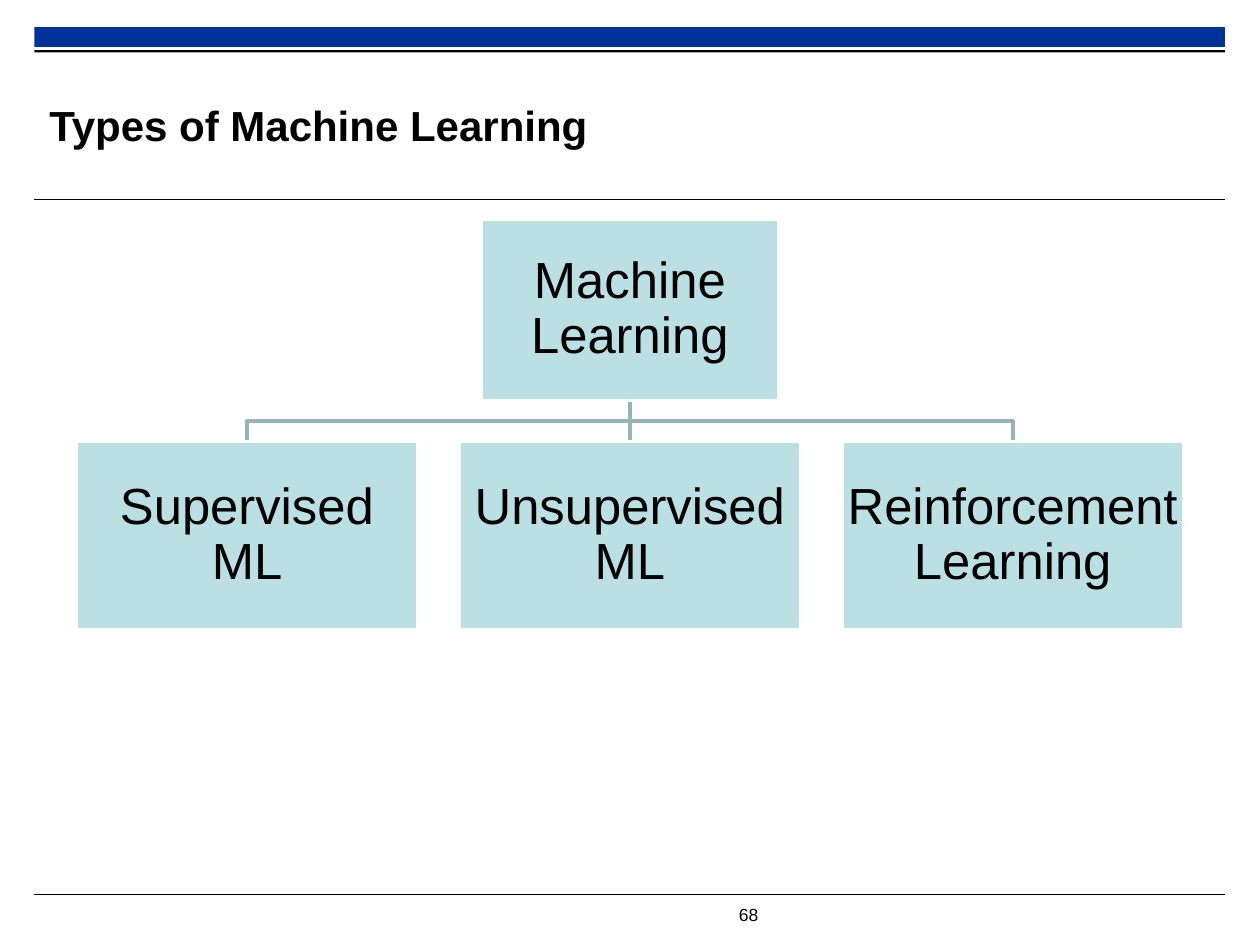
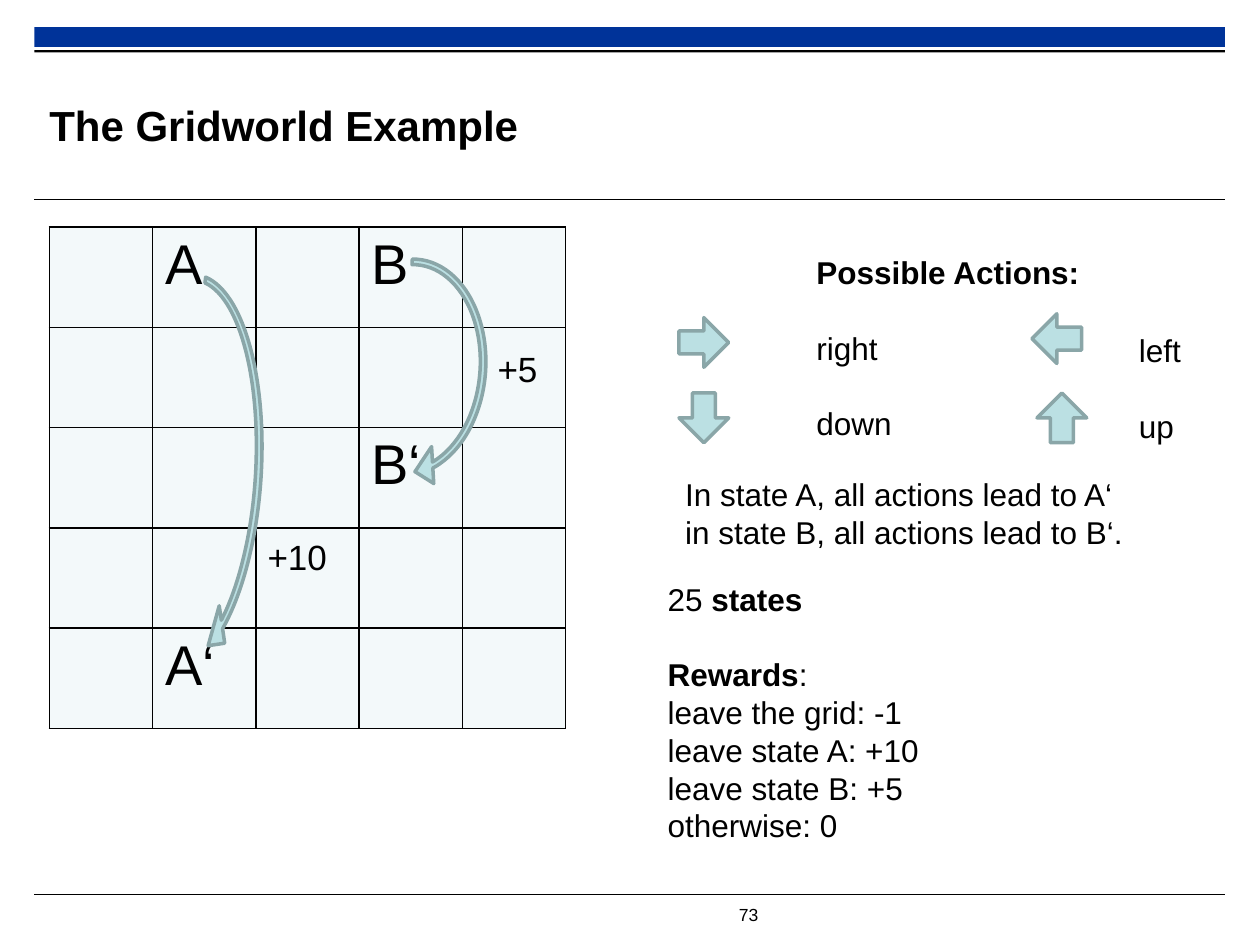
"""Build two lecture slides: types of machine learning and the gridworld example."""
import pptx
import pptx.dml.color
import pptx.enum.shapes
import pptx.enum.text
import pptx.oxml
import pptx.oxml.ns
import pptx.util
from lxml import etree

Pt = pptx.util.Pt
RGBColor = pptx.dml.color.RGBColor
SHAPE = pptx.enum.shapes.MSO_SHAPE
STRAIGHT = pptx.enum.shapes.MSO_CONNECTOR.STRAIGHT
ANCHOR = pptx.enum.text.MSO_ANCHOR
ALIGN = pptx.enum.text.PP_ALIGN

FONT = "Arial"
BLACK = RGBColor(0x00, 0x00, 0x00)
WHITE = RGBColor(0xFF, 0xFF, 0xFF)
BLUE = RGBColor(0x00, 0x33, 0x99)
TEAL = RGBColor(0xBB, 0xE0, 0xE3)
TEAL_BRANCH = RGBColor(0x96, 0xB3, 0xB6)
TEAL_EDGE = RGBColor(0x8A, 0xA6, 0xA8)
CELL_FILL = RGBColor(0xF3, 0xF9, 0xFA)

BAND_LEFT, BAND_WIDTH = 19.6, 680.4
BODY_SIZE = 18
LINE_GAP = 21.6


def style_paragraph(para, size, bold=False):
    """Set the shared font on a whole paragraph."""
    para.font.name = FONT
    para.font.size = Pt(size)
    para.font.bold = bold
    para.font.color.rgb = BLACK


def add_box(page, shape_type, left, top, width, height, fill, edge=None, line_width=2):
    """Add a filled preset shape without a shadow."""
    box = page.shapes.add_shape(shape_type, Pt(left), Pt(top), Pt(width), Pt(height))
    box.shadow.inherit = False
    box.fill.solid()
    box.fill.fore_color.rgb = fill
    if edge is None:
        box.line.fill.background()
    else:
        box.line.color.rgb = edge
        box.line.width = Pt(line_width)
    return box


def add_line(page, start, end, color, width):
    """Add a straight line without a shadow."""
    line = page.shapes.add_connector(STRAIGHT, *(Pt(value) for value in start + end))
    line.line.color.rgb = color
    line.line.width = Pt(width)
    etree.SubElement(line._element.spPr, pptx.oxml.ns.qn("a:effectLst"))


def add_text(page, left, top, width, height, lines, size=BODY_SIZE, wrap=True):
    """Add a text box; each line is (gap before, (text, bold), ...)."""
    box = page.shapes.add_textbox(Pt(left), Pt(top), Pt(width), Pt(height))
    frame = box.text_frame
    frame.word_wrap = wrap
    for index, (gap, *spans) in enumerate(lines):
        para = frame.paragraphs[0] if index == 0 else frame.add_paragraph()
        if gap:
            para.space_before = Pt(gap)
        bolds = [bold for text, bold in spans]
        style_paragraph(para, size, bolds[0])
        for text, bold in spans:
            span = para.add_run()
            span.text = text
            if len(set(bolds)) > 1:
                span.font.bold = bold
    return box


def add_page(deck, title, number):
    """Add a page with bands, rules, title and page number."""
    page = deck.slides.add_slide(deck.slide_layouts[6])
    add_box(page, SHAPE.RECTANGLE, BAND_LEFT, 15.5, BAND_WIDTH, 11.4, BLUE)
    add_box(page, SHAPE.RECTANGLE, BAND_LEFT, 28.7, BAND_WIDTH, 1.3, BLACK)
    for rule_top in (114.2, 511):
        add_line(page, (BAND_LEFT, rule_top), (BAND_LEFT + BAND_WIDTH, rule_top), BLACK, 0.6)
    add_text(page, 415.2, 512.8, 34.6, 19.4, [(0, (str(number), False))], 10, False)
    frame = add_text(page, 28.2, 38.2, 512, 66.2, [(0, (title, True))], 24).text_frame
    frame.margin_left = frame.margin_right = frame.margin_top = frame.margin_bottom = 0
    frame.vertical_anchor = ANCHOR.MIDDLE
    return page


def add_tree_node(page, center, top, width, height, label):
    """Add one labelled box of the tree."""
    box = add_box(page, SHAPE.RECTANGLE, center - width / 2, top, width, height, TEAL, WHITE)
    frame = box.text_frame
    frame.margin_left = frame.margin_right = frame.margin_top = frame.margin_bottom = Pt(1.44)
    frame.word_wrap = True
    frame.vertical_anchor = ANCHOR.MIDDLE
    para = frame.paragraphs[0]
    para.text = label
    para.alignment = ALIGN.CENTER
    para.line_spacing = 0.9
    style_paragraph(para, 29)


def add_tree(page, root, children):
    """Add a root box joined to a row of three children."""
    middle, pitch = 360, 218.8
    root_top, root_height, child_top = 125.3, 103.7, 252.2
    root_bottom = root_top + root_height
    bus = (root_bottom + child_top) / 2
    centers = [middle + pitch * step for step in (-1, 0, 1)]
    left, right = centers[0], centers[-1]
    builder = page.shapes.build_freeform(Pt(left), Pt(child_top))
    corners = [(left, bus), (right, bus), (right, child_top)]
    builder.add_line_segments([(Pt(x), Pt(y)) for x, y in corners], close=False)
    bracket = builder.convert_to_shape()
    bracket.shadow.inherit = False
    bracket.fill.background()
    bracket.line.color.rgb = TEAL_BRANCH
    bracket.line.width = Pt(2)
    add_line(page, (middle, root_bottom), (middle, child_top), TEAL_BRANCH, 2)
    add_tree_node(page, middle, root_top, 169.6, root_height, root)
    for center, label in zip(centers, children):
        add_tree_node(page, center, child_top, 195.2, 107.6, label)


def style_cell(cell):
    """Fill a grid cell and draw its four borders."""
    properties = cell._tc.get_or_add_tcPr()
    for side in ("lnL", "lnR", "lnT", "lnB"):
        properties.append(pptx.oxml.parse_xml(
            f'<a:{side} {pptx.oxml.ns.nsdecls("a")} w="{Pt(1)}">'
            f'<a:solidFill><a:srgbClr val="{BLACK}"/></a:solidFill></a:{side}>'))
    cell.fill.solid()
    cell.fill.fore_color.rgb = CELL_FILL


def add_grid(page, states):
    """Add the five by five grid with its named states."""
    count, cell_width, cell_height = 5, 59, 57.3
    table = page.shapes.add_table(count, count, Pt(28.2), Pt(129.7),
                                  Pt(count * cell_width), Pt(count * cell_height)).table
    table.first_row = table.horz_banding = False
    for index in range(count):
        table.columns[index].width = Pt(cell_width)
        table.rows[index].height = Pt(cell_height)
    for cell in table.iter_cells():
        style_cell(cell)
    for (row, column), name in states.items():
        para = table.cell(row, column).text_frame.paragraphs[0]
        para.text = name
        style_paragraph(para, 32)


def add_arrow(page, shape_type, left, top, width, height, rotation, adjustments):
    """Add a rotated block or circular arrow."""
    arrow = add_box(page, shape_type, left, top, width, height, TEAL, TEAL_EDGE)
    arrow.rotation = rotation
    for index, value in enumerate(adjustments):
        arrow.adjustments[index] = value


def build_types_page(deck):
    """Build the page on the types of machine learning."""
    page = add_page(deck, "Types of Machine Learning", 68)
    add_tree(page, "Machine Learning",
             ("Supervised ML", "Unsupervised ML", "Reinforcement Learning"))


def build_gridworld_page(deck):
    """Build the gridworld page."""
    page = add_page(deck, "The Gridworld Example", 73)
    add_grid(page, {(0, 1): "A", (0, 3): "B", (2, 3): "B‘", (4, 1): "A‘"})
    add_arrow(page, SHAPE.CIRCULAR_ARROW, 162.7, 157, 141.8, 105.8, 94.4,
              (0.03, 6.19, 205.15, 106.45, 0.1))
    add_arrow(page, SHAPE.CIRCULAR_ARROW, -18, 216, 244.8, 108, 93.6,
              (0.03, 3.67, 205.15, 109.85, 0.1))
    add_text(page, 277.2, 195.1, 39.6, 31.7, [(0, ("+5", False))], 20)
    add_text(page, 145.8, 302.4, 50.4, 31.7, [(0, ("+10", False))], 20)
    for left, top, rotation in ((388, 181.5, 0), (388, 224.6, 90),
                                (589.7, 179.3, 180), (592.6, 224.6, 270)):
        add_arrow(page, SHAPE.RIGHT_ARROW, left, top, 28.4, 28.4, rotation, (0.46, 0.5))
    add_text(page, 459.4, 141.1, 169.9, 138.2, [
        (0, ("Possible Actions:", True)),
        (LINE_GAP, ("right", False)),
        (LINE_GAP, ("down", False))])
    add_text(page, 643.7, 164.2 + LINE_GAP, 70, 72, [
        (0, ("left", False)),
        (LINE_GAP, ("up", False))])
    add_text(page, 384.5, 267.8, 306.7, 51.1, [
        (0, ("In state A, all actions lead to A‘", False)),
        (0, ("in state B, all actions lead to B‘.", False))])
    add_text(page, 374.4, 327.6, 254.9, 159.8, [
        (0, ("25 ", False), ("states", True)),
        (LINE_GAP, ("Rewards", True), (":", False)),
        (0, ("leave the grid: -1", False)),
        (0, ("leave state A: +10", False)),
        (0, ("leave state B: +5", False)),
        (0, ("otherwise: 0", False))])


def main():
    """Build and save the deck."""
    deck = pptx.Presentation()
    deck.slide_width, deck.slide_height = Pt(720), Pt(540)
    build_types_page(deck)
    build_gridworld_page(deck)
    deck.save("out.pptx")


if __name__ == "__main__":
    main()
